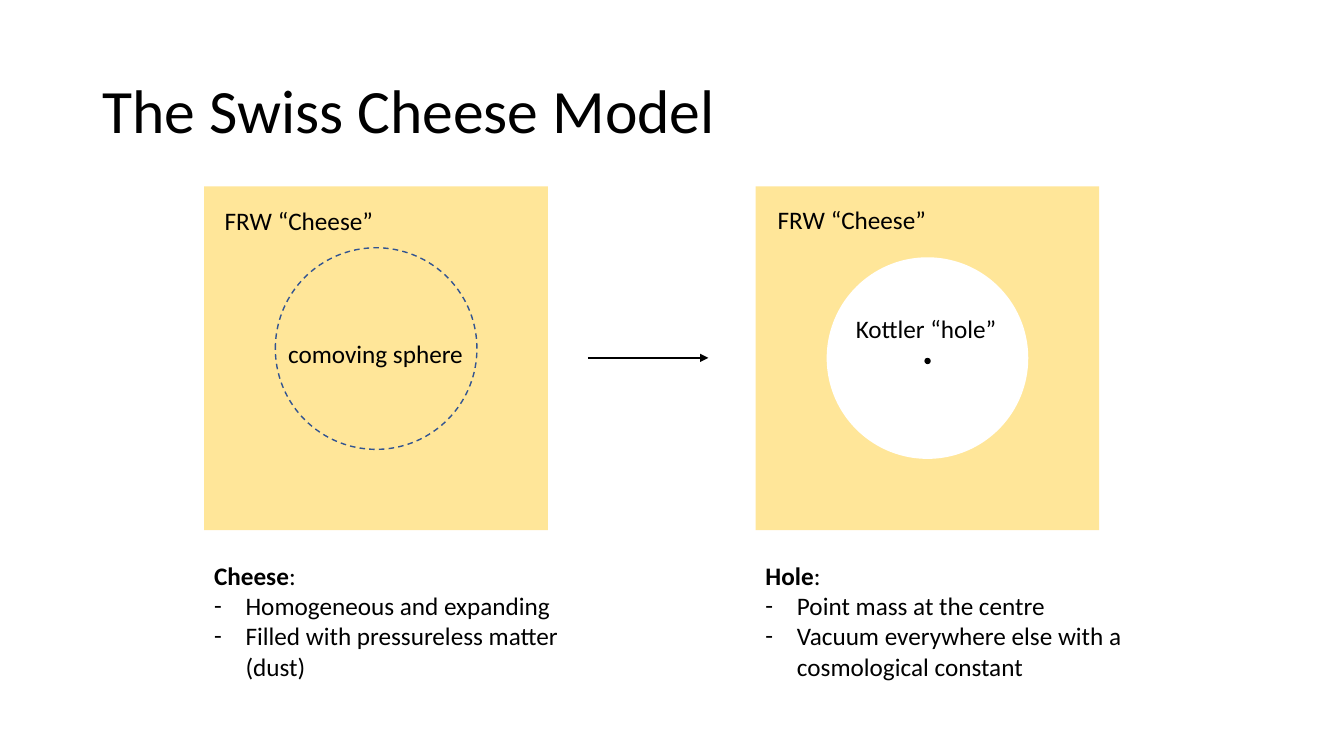
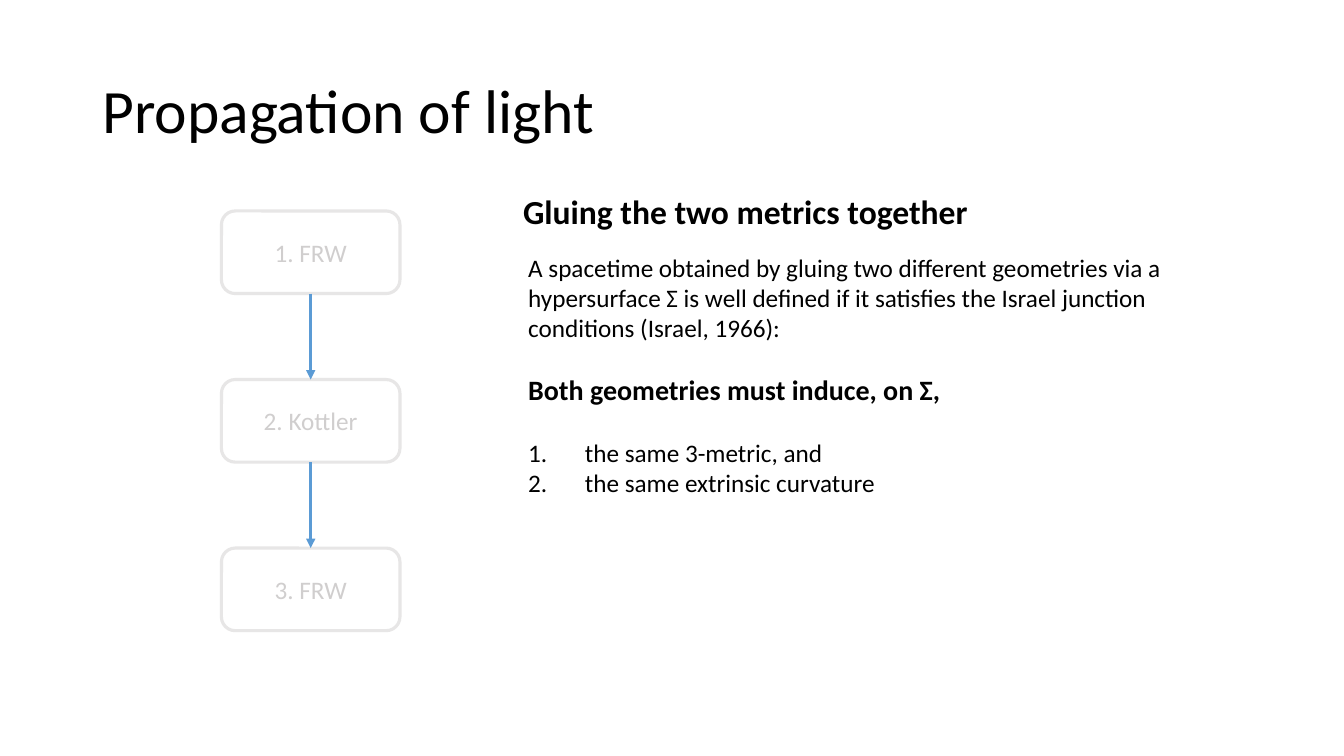
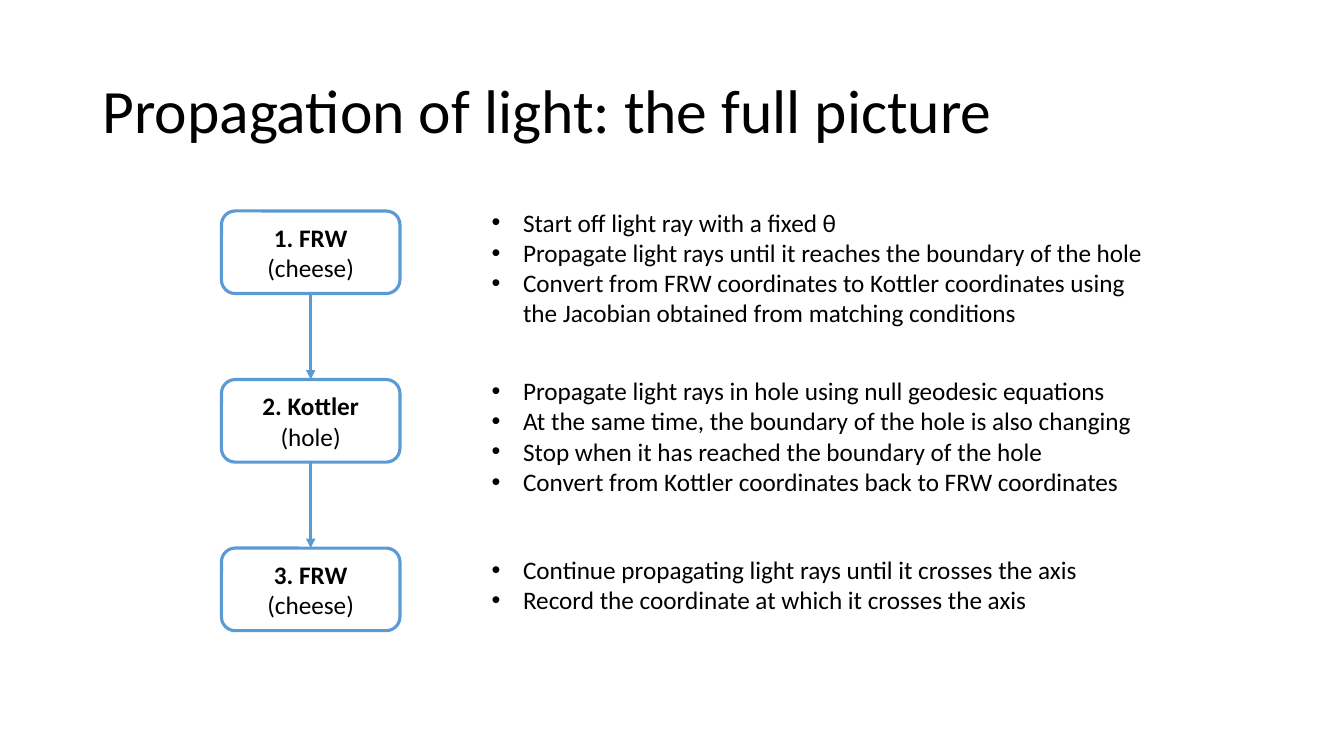
import dataclasses

import lxml.etree
import pptx
import pptx.dml.color
import pptx.enum.dml
import pptx.enum.shapes
import pptx.enum.text
import pptx.oxml.ns
import pptx.util

Pt = pptx.util.Pt
qn = pptx.oxml.ns.qn
Shape = pptx.enum.shapes.MSO_SHAPE
Align = pptx.enum.text.PP_ALIGN
Anchor = pptx.enum.text.MSO_ANCHOR


class Theme:
    font = "Calibri"
    ink = "000000"
    paper = "FFFFFF"
    cheese = "FFE699"
    rim = "325491"
    blue = "5B9BD5"
    faded = "E7E6E6"
    muted = "D0CECE"
    title = 44
    head = 24
    claim = 20
    body = 18


@dataclasses.dataclass
class Para:
    text: str
    rest: str = ""
    bold: bool = False
    size: float = Theme.body
    gap: float = 0
    mark: str = ""
    left: float = 22.5
    hang: float = 22.5


def rgb(code):
    return pptx.dml.color.RGBColor.from_string(code)


def style(run, size, color=Theme.ink, bold=False):
    run.font.name = Theme.font
    run.font.size = Pt(size)
    run.font.bold = bold
    run.font.color.rgb = rgb(color)


def add_mark(line, para):
    props = line._p.get_or_add_pPr()
    props.set("marL", str(Pt(para.left)))
    props.set("indent", str(-Pt(para.hang)))
    if para.mark == "1.":
        lxml.etree.SubElement(props, qn("a:buAutoNum"), type="arabicPeriod")
    else:
        face = "Arial" if para.mark == "•" else Theme.font
        lxml.etree.SubElement(props, qn("a:buFont"), typeface=face)
        lxml.etree.SubElement(props, qn("a:buChar"), char=para.mark)


def write(frame, paras, color=Theme.ink, align=Align.LEFT):
    frame.word_wrap = True
    for count, para in enumerate(paras):
        line = frame.add_paragraph() if count else frame.paragraphs[0]
        line.text = para.text
        line.alignment = align
        line.space_before = Pt(para.gap)
        style(line.runs[0], para.size, color, para.bold)
        if para.rest:
            run = line.add_run()
            run.text = para.rest
            style(run, para.size, color)
        if para.mark:
            add_mark(line, para)


def add_text(slide, left, top, width, height, *paras):
    box = slide.shapes.add_textbox(Pt(left), Pt(top), Pt(width), Pt(height))
    write(box.text_frame, paras)


def add_shape(slide, kind, left, top, width, height, fill=None, edge=None, weight=1):
    shape = slide.shapes.add_shape(kind, Pt(left), Pt(top), Pt(width), Pt(height))
    shape.shadow.inherit = False
    if fill:
        shape.fill.solid()
        shape.fill.fore_color.rgb = rgb(fill)
    else:
        shape.fill.background()
    if edge:
        shape.line.color.rgb = rgb(edge)
        shape.line.width = Pt(weight)
    else:
        shape.line.fill.background()
    return shape


def add_arrow(slide, x1, y1, x2, y2, color, weight):
    arrow = slide.shapes.add_connector(
        pptx.enum.shapes.MSO_CONNECTOR.STRAIGHT, Pt(x1), Pt(y1), Pt(x2), Pt(y2))
    arrow.line.color.rgb = rgb(color)
    arrow.line.width = Pt(weight)
    lxml.etree.SubElement(arrow.line._get_or_add_ln(), qn("a:tailEnd"), type="triangle")
    lxml.etree.SubElement(arrow._element.spPr, qn("a:effectLst"))


def add_slide(deck, text):
    slide = deck.slides.add_slide(deck.slide_layouts[5])
    title = slide.shapes.title
    title.left, title.top, title.width, title.height = Pt(66), Pt(28.8), Pt(828), Pt(104.4)
    frame = title.text_frame
    frame.text = text
    frame.word_wrap = True
    frame.auto_size = pptx.enum.text.MSO_AUTO_SIZE.NONE
    frame.vertical_anchor = Anchor.MIDDLE
    line = frame.paragraphs[0]
    line.alignment = Align.LEFT
    line.line_spacing = 0.9
    style(line.runs[0], Theme.title)
    return slide


def add_flow(slide, paras, edge, color):
    left, top, width, height, step = 158.2, 150.7, 127.5, 59, 120.4
    for count, para in enumerate(paras):
        y = top + count * step
        box = add_shape(slide, Shape.ROUNDED_RECTANGLE, left, y, width, height,
                        Theme.paper, edge, 2.25)
        write(box.text_frame, [para], color, Align.CENTER)
        if count:
            x = left + width / 2
            add_arrow(slide, x, y - step + height, x, y, Theme.blue, 2.25)


def add_panel(slide, left, inset, top, width, name, *facts):
    side = 245.5
    add_shape(slide, Shape.RECTANGLE, left, 133.2, side, side, Theme.cheese)
    add_text(slide, left + inset, top, 253.5, 29, Para("FRW “Cheese”"))
    add_text(slide, left, 396.7, width, 94.5, Para(name, ":", bold=True),
             *[Para(fact, mark="-") for fact in facts])


def add_model(deck):
    slide = add_slide(deck, "The Swiss Cheese Model")
    add_panel(slide, 145.8, 7.6, 143, 286, "Cheese", "Homogeneous and expanding",
              "Filled with pressureless matter (dust)")
    add_panel(slide, 539.7, 8.7, 142.5, 295, "Hole", "Point mass at the centre",
              "Vacuum everywhere else with a cosmological constant")
    add_arrow(slide, 420, 255.6, 506, 255.6, Theme.ink, 1.5)
    sphere = add_shape(slide, Shape.OVAL, 196.7, 177, 144, 144, edge=Theme.rim)
    sphere.line.dash_style = pptx.enum.dml.MSO_LINE.DASH
    add_shape(slide, Shape.OVAL, 590.5, 183.8, 144, 144, Theme.paper)
    add_shape(slide, Shape.OVAL, 660.3, 255.6, 4.5, 4.5, Theme.ink)
    add_text(slide, 198.7, 238, 142, 29, Para("comoving sphere"))
    add_text(slide, 604.2, 220.5, 119, 29, Para("Kottler “hole”"))


def add_gluing(deck):
    slide = add_slide(deck, "Propagation of light")
    names = ["1. FRW", "2. Kottler", "3. FRW"]
    add_flow(slide, [Para(name) for name in names], Theme.faded, Theme.muted)
    add_text(slide, 366.5, 132.5, 403, 36,
             Para("Gluing the two metrics together", bold=True, size=Theme.head))
    add_text(slide, 370.2, 176.4, 480, 206,
             Para("A spacetime obtained by gluing two different geometries via a "
                  "hypersurface Σ is well defined if it satisfies the Israel junction "
                  "conditions (Israel, 1966):"),
             Para("Both geometries must induce, on Σ,", bold=True, size=Theme.claim, gap=21.5),
             Para("the same 3-metric, and", gap=21.8, mark="1.", left=40.5, hang=40.5),
             Para("the same extrinsic curvature", mark="1.", left=40.5, hang=40.5))


def add_full(deck):
    slide = add_slide(deck, "Propagation of light: the full picture")
    names = [("1. FRW ", "(cheese)"), ("2. Kottler ", "(hole)"), ("3. FRW ", "(cheese)")]
    add_flow(slide, [Para(name, rest, bold=True) for name, rest in names],
             Theme.blue, Theme.ink)
    notes = [
        (144.3, 528, 116.5, [
            "Start off light ray with a fixed θ",
            "Propagate light rays until it reaches the boundary of the hole",
            "Convert from FRW coordinates to Kottler coordinates using "
            "the Jacobian obtained from matching conditions"]),
        (264.7, 578, 116.5, [
            "Propagate light rays in hole using null geodesic equations",
            "At the same time, the boundary of the hole is also changing",
            "Stop when it has reached the boundary of the hole",
            "Convert from Kottler coordinates back to FRW coordinates"]),
        (392.5, 528, 72.7, [
            "Continue propagating light rays until it crosses the axis",
            "Record the coordinate at which it crosses the axis"]),
    ]
    for top, width, height, steps in notes:
        add_text(slide, 308, top, width, height,
                 *[Para(step, mark="•", left=58.5) for step in steps])


def main():
    deck = pptx.Presentation()
    deck.slide_width, deck.slide_height = Pt(960), Pt(540)
    add_model(deck)
    add_gluing(deck)
    add_full(deck)
    deck.save("out.pptx")


if __name__ == "__main__":
    main()
